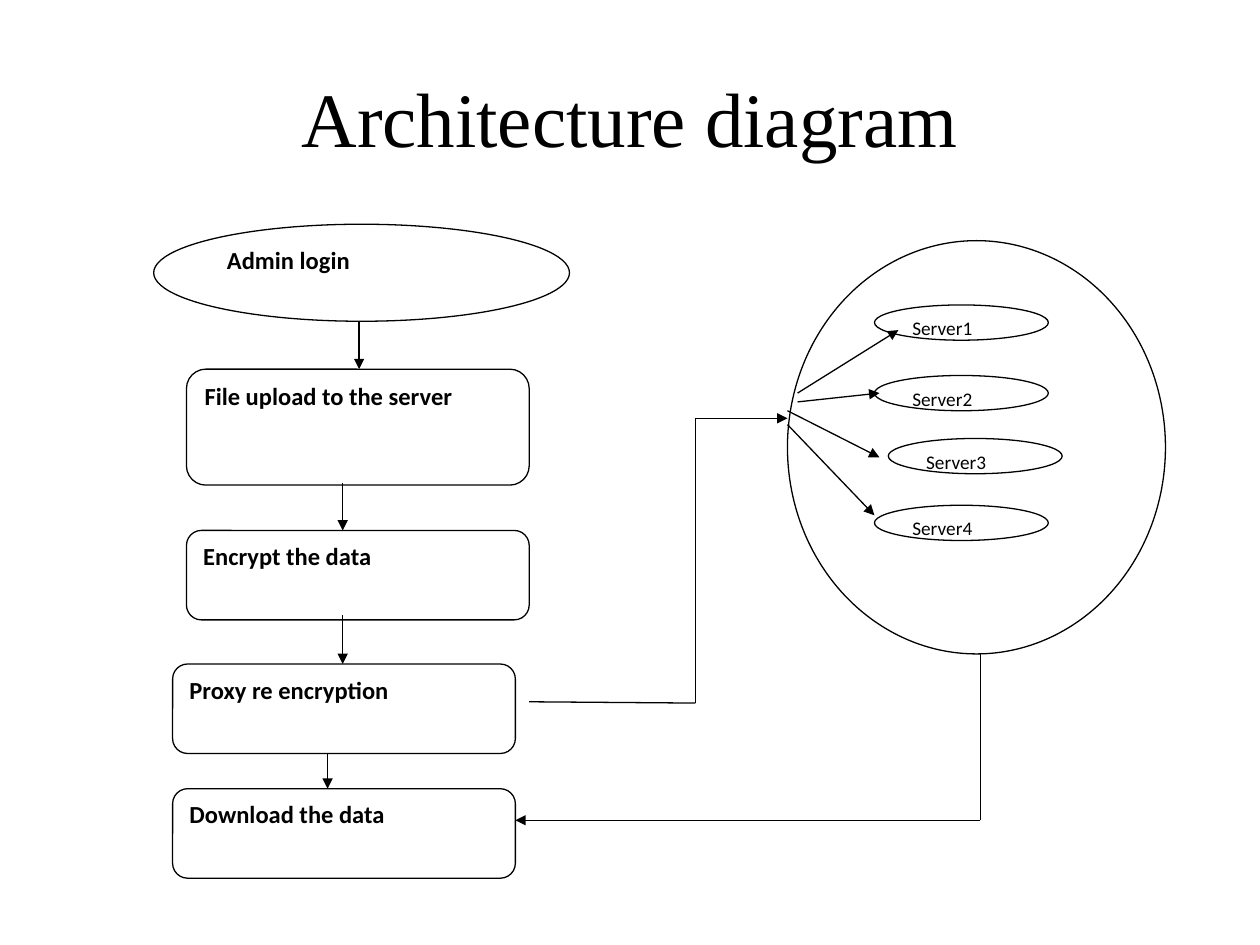
"""Build the architecture diagram slide: file flow, proxy and server cloud."""
from pptx import Presentation
from pptx.dml.color import RGBColor as RGB
from pptx.enum.shapes import MSO_CONNECTOR as LINE, MSO_SHAPE as SHAPE
from pptx.enum.text import MSO_ANCHOR as ANCHOR, PP_ALIGN as ALIGN
from pptx.oxml.ns import qn
from pptx.util import Inches, Pt
from lxml.etree import SubElement as Sub

THEME = {
    "ink": RGB(0, 0, 0), "paper": RGB(255, 255, 255), "line": Pt(0.75),
    "title": Pt(44), "step": Pt(14), "server": Pt(11),
    "serif": "Times New Roman", "sans": "Calibri",
}


def write(shape, text, size="step", font="sans", bold=False,
          align=ALIGN.LEFT, anchor=ANCHOR.TOP):
    frame = shape.text_frame
    frame.word_wrap = True
    frame.vertical_anchor = anchor
    par = frame.paragraphs[0]
    par.alignment = align
    run = par.add_run()
    run.text = text
    run.font.size = THEME[size]
    run.font.name = THEME[font]
    run.font.bold = bold
    run.font.color.rgb = THEME["ink"]


def draw(kind, *box):
    shape = slide.shapes.add_shape(kind, *map(Inches, box))
    shape.shadow.inherit = False
    shape.fill.solid()
    shape.fill.fore_color.rgb = THEME["paper"]
    shape.line.color.rgb = THEME["ink"]
    shape.line.width = THEME["line"]
    return shape


deck = Presentation()
deck.slide_width, deck.slide_height = Inches(10), Inches(7.5)
slide = deck.slides.add_slide(deck.slide_layouts[6])

title = slide.shapes.add_textbox(*map(Inches, (0.5, 0.3, 9, 1.25)))
write(title, "Architecture diagram", size="title", font="serif",
      align=ALIGN.CENTER, anchor=ANCHOR.MIDDLE)

steps = [
    ("Admin login", SHAPE.OVAL, 1.22, 1.78, 3.3, 0.77),
    ("File upload to the server", SHAPE.ROUNDED_RECTANGLE, 1.48, 2.93, 2.72, 0.92),
    ("Encrypt the data", SHAPE.ROUNDED_RECTANGLE, 1.48, 4.21, 2.72, 0.71),
    ("Proxy re encryption", SHAPE.ROUNDED_RECTANGLE, 1.37, 5.27, 2.72, 0.71),
    ("Download the data", SHAPE.ROUNDED_RECTANGLE, 1.37, 6.26, 2.72, 0.71),
]
for text, kind, *box in steps:
    write(draw(kind, *box), text, bold=True)

draw(SHAPE.OVAL, 6.25, 1.91, 3, 3.28)
servers = [(6.94, 2.42), (6.94, 2.98), (7.05, 3.48), (6.94, 4.01)]
for num, (left, top) in enumerate(servers, 1):
    write(draw(SHAPE.OVAL, left, top, 1.38, 0.28), f"Server{num}", size="server")

routes = [
    [(2.85, 2.55), (2.85, 2.93)],
    [(2.72, 3.83), (2.72, 4.21)],
    [(2.72, 4.88), (2.72, 5.27)],
    [(2.6, 5.98), (2.6, 6.26)],
    [(4.2, 5.57), (5.52, 5.58), (5.52, 3.32), (6.25, 3.32)],
    [(6.33, 3.12), (7.13, 2.62)],
    [(6.33, 3.19), (6.98, 3.12)],
    [(6.25, 3.26), (6.98, 3.63)],
    [(6.25, 3.37), (6.94, 4.09)],
    [(7.78, 5.19), (7.78, 6.51), (4.09, 6.51)],
]
for route in routes:
    for start, end in zip(route, route[1:]):
        link = slide.shapes.add_connector(LINE.STRAIGHT, *map(Inches, start + end))
        link.line.color.rgb = THEME["ink"]
        link.line.width = THEME["line"]
        Sub(link._element.spPr, qn("a:effectLst"))
    Sub(link.line._get_or_add_ln(), qn("a:tailEnd"), type="triangle")

deck.save("out.pptx")
